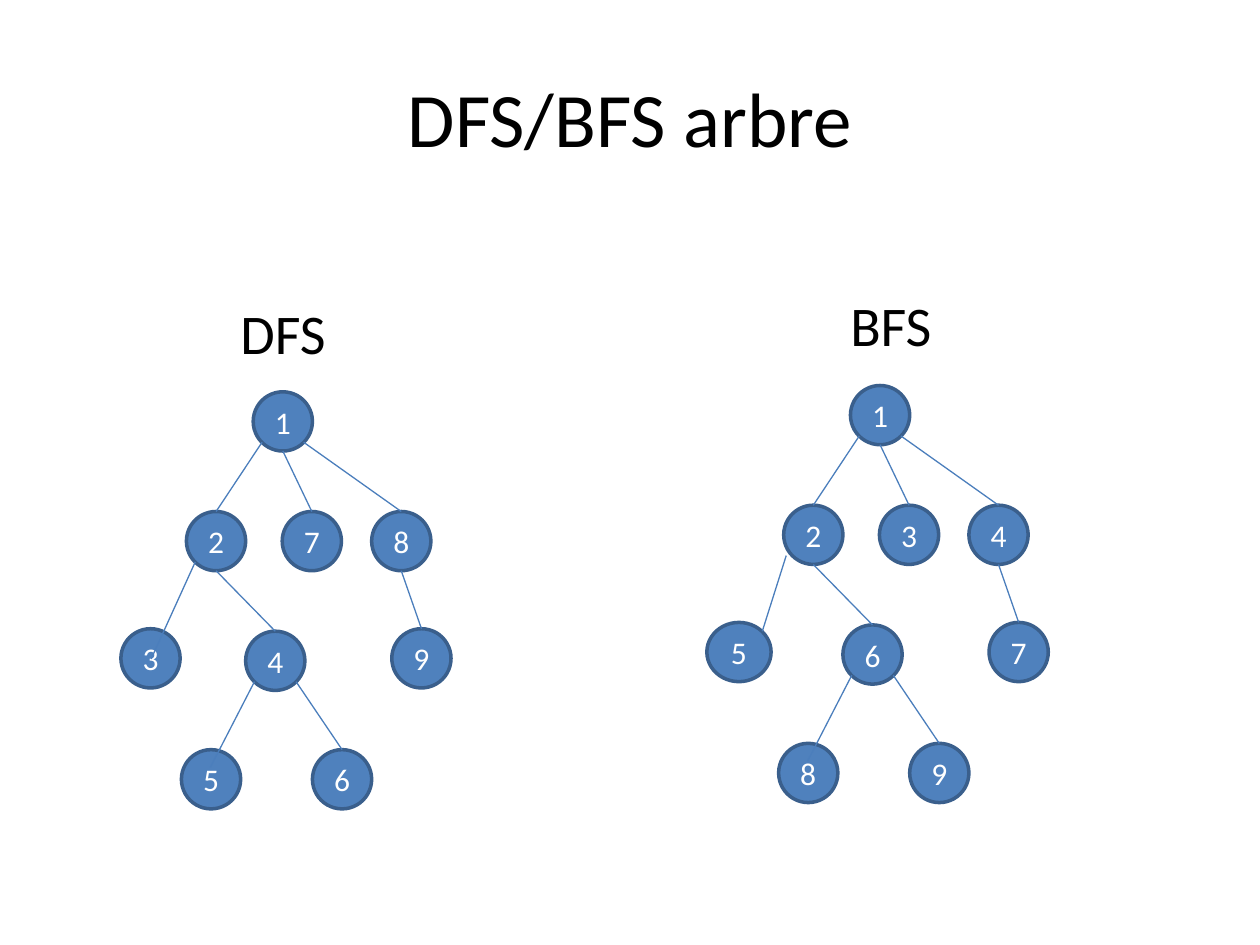
from lxml import etree
from pptx import Presentation
from pptx.dml.color import RGBColor
from pptx.enum.shapes import MSO_CONNECTOR, MSO_SHAPE
from pptx.enum.text import MSO_ANCHOR, PP_ALIGN
from pptx.oxml.ns import qn
from pptx.util import Inches, Pt

ELLIPSE = MSO_SHAPE.OVAL
STRAIGHT = MSO_CONNECTOR.STRAIGHT
MIDDLE = MSO_ANCHOR.MIDDLE
CENTER = PP_ALIGN.CENTER

FONT = "Calibri"
NODE = 0.47

# Node positions relative to the root
POSITIONS = {
    "root": (0, 0),
    "left": (-0.53, 0.95),
    "middle": (0.23, 0.95),
    "right": (0.94, 0.95),
    "left leaf": (-1.05, 1.88),
    "left inner": (-0.06, 1.9),
    "right leaf": (1.1, 1.88),
    "deep left": (-0.57, 2.84),
    "deep right": (0.47, 2.84),
}

# Attachment points within a node
TOP = (NODE / 2, 0)
BOTTOM = (NODE / 2, NODE)
LOWER_LEFT = (0.07, 0.4)
LOWER_RIGHT = (0.4, 0.4)

EDGES = [
    ("root", LOWER_LEFT, "left", TOP),
    ("root", BOTTOM, "middle", TOP),
    ("root", LOWER_RIGHT, "right", TOP),
    ("left", BOTTOM, "left inner", TOP),
    ("right", BOTTOM, "right leaf", TOP),
    ("left inner", LOWER_LEFT, "deep left", (0.23, 0.14)),
    ("left inner", LOWER_RIGHT, "deep right", TOP),
]

# Heading, its place, root place, visit order by node, left leaf (shift, width) and its edge
TREES = [
    ("DFS", (1.81, 2.32), (2.01, 3.11), "127834956", (0, NODE),
     (LOWER_LEFT, (0.24, 0.24))),
    ("BFS", (6.65, 2.26), (6.75, 3.06), "123456789", (-0.09, 0.51),
     ((0.02, 0.4), (0.44, 0.07))),
]


def color(hex_string):
    return RGBColor.from_string(hex_string)


def write(frame, text, size, hex_string):
    paragraph = frame.paragraphs[0]
    run = paragraph.add_run()
    run.text = text
    run.font.name = FONT
    run.font.size = Pt(size)
    run.font.color.rgb = color(hex_string)
    return paragraph


prs = Presentation()
prs.slide_width = Inches(10)
prs.slide_height = Inches(7.5)
slide = prs.slides.add_slide(prs.slide_layouts[6])
shapes = slide.shapes

title = shapes.add_textbox(Inches(0.5), Inches(0.3), Inches(9), Inches(1.25)).text_frame
title.word_wrap = True
title.vertical_anchor = MIDDLE
write(title, "DFS/BFS arbre", 44, "000000").alignment = CENTER

for heading, (head_x, head_y), (root_x, root_y), order, leaf, leaf_edge in TREES:
    leaf_shift, leaf_width = leaf
    places = {place: (root_x + dx, root_y + dy) for place, (dx, dy) in POSITIONS.items()}
    leaf_x, leaf_y = places["left leaf"]
    places["left leaf"] = (leaf_x + leaf_shift, leaf_y)

    for (place, (x, y)), number in zip(places.items(), order):
        width = leaf_width if place == "left leaf" else NODE
        node = shapes.add_shape(ELLIPSE, Inches(x), Inches(y), Inches(width), Inches(NODE))
        node.shadow.inherit = False
        node.fill.solid()
        node.fill.fore_color.rgb = color("4F81BD")
        node.line.color.rgb = color("3A5F8C")
        node.line.width = Pt(2)
        node.text_frame.vertical_anchor = MIDDLE
        write(node.text_frame, number, 18, "FFFFFF").alignment = CENTER

    leaf_start, leaf_end = leaf_edge
    for parent, start, child, end in EDGES + [("left", leaf_start, "left leaf", leaf_end)]:
        parent_x, parent_y = places[parent]
        child_x, child_y = places[child]
        edge = shapes.add_connector(
            STRAIGHT,
            Inches(parent_x + start[0]), Inches(parent_y + start[1]),
            Inches(child_x + end[0]), Inches(child_y + end[1]))
        edge.line.color.rgb = color("4B7EBC")
        edge.line.width = Pt(0.75)
        etree.SubElement(edge._element.spPr, qn("a:effectLst"))

    label = shapes.add_textbox(Inches(head_x), Inches(head_y), Inches(0.89), Inches(0.64))
    label.text_frame.word_wrap = False
    write(label.text_frame, heading, 32, "000000")

prs.save("out.pptx")
